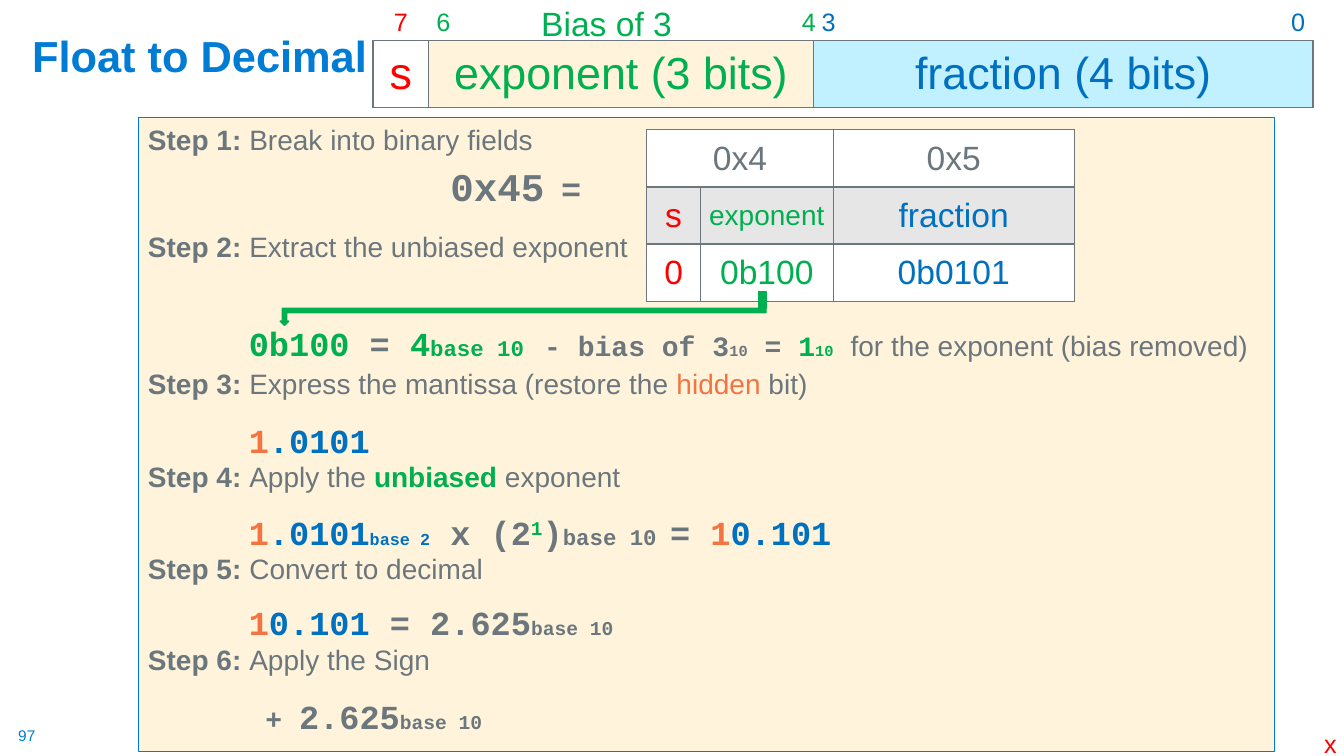
from dataclasses import dataclass

from lxml.etree import SubElement
from pptx import Presentation
from pptx.dml.color import RGBColor
from pptx.enum.shapes import MSO_SHAPE
from pptx.enum.text import MSO_ANCHOR, PP_ALIGN
from pptx.oxml.ns import qn
from pptx.util import Cm, Pt

BLUE = RGBColor(0x00, 0x7C, 0xD5)
DARK_BLUE = RGBColor(0x00, 0x70, 0xC0)
GREY = RGBColor(0x6B, 0x76, 0x7D)
GREEN = RGBColor(0x00, 0xB0, 0x50)
RED = RGBColor(0xFF, 0x00, 0x00)
ORANGE = RGBColor(0xF3, 0x74, 0x40)
CREAM = RGBColor(0xFF, 0xF4, 0xDB)
PALE_BLUE = RGBColor(0xC1, 0xF0, 0xFF)
PALE_GREY = RGBColor(0xE7, 0xE6, 0xE6)
WHITE = RGBColor(0xFF, 0xFF, 0xFF)

PLAIN_TABLE_STYLE = "{2D5ABB26-0587-4C30-8999-92F81FD0307C}"
FORMULA_INDENT = 2.54


@dataclass
class Span:
    text: str
    size: float = 20
    color: RGBColor = GREY
    bold: bool = False
    font: str = "Arial"
    raised: bool = False


def code(text, size=24, color=GREY, raised=False):
    return Span(text, size, color, True, "Courier New", raised)


def step(number, *spans):
    return [Span(f"Step {number}: ", bold=True), *spans]


def style(font, span):
    font.name = span.font
    font.size = Pt(span.size)
    font.bold = span.bold
    font.color.rgb = span.color


def write(paragraph, spans):
    for span in spans:
        run = paragraph.add_run()
        run.text = span.text
        if len(spans) > 1:
            style(run.font, span)
        if span.raised:
            run.font._element.set("baseline", "30000")
    if len(spans) == 1:
        style(paragraph.font, spans[0])


def add_label(page, place, span, anchor=MSO_ANCHOR.TOP, inset=None):
    box = page.shapes.add_textbox(*map(Cm, place))
    frame = box.text_frame
    frame.word_wrap = False
    frame.vertical_anchor = anchor
    if inset is not None:
        frame.margin_left = frame.margin_right = Cm(inset)
        frame.margin_top = frame.margin_bottom = Cm(inset)
    write(frame.paragraphs[0], [span])


def add_block(page, kind, place, fill, line, width):
    block = page.shapes.add_shape(kind, *map(Cm, place))
    block.shadow.inherit = False
    block.fill.solid()
    block.fill.fore_color.rgb = fill
    block.line.color.rgb = line
    block.line.width = Pt(width)
    return block


def add_grid(page, left, top, widths, heights):
    frame = page.shapes.add_table(len(heights), len(widths), Cm(left), Cm(top),
                                  Cm(sum(widths)), Cm(sum(heights)))
    table = frame.table
    table.first_row = table.horz_banding = False
    table._tbl.tblPr.find(qn("a:tableStyleId")).text = PLAIN_TABLE_STYLE
    for column, width in zip(table.columns, widths):
        column.width = Cm(width)
    for row, height in zip(table.rows, heights):
        row.height = Cm(height)
    return table


def outline(cell):
    properties = cell._tc.get_or_add_tcPr()
    for place, side in enumerate(("a:lnL", "a:lnR", "a:lnT", "a:lnB")):
        line = SubElement(properties, qn(side), w=str(Pt(1)))
        fill = SubElement(line, qn("a:solidFill"))
        SubElement(fill, qn("a:srgbClr"), val=str(GREY))
        properties.insert(place, line)


def fill_cell(cell, span, fill=None, align=PP_ALIGN.CENTER, anchor=MSO_ANCHOR.MIDDLE):
    cell.margin_left = cell.margin_right = Cm(0.2)
    cell.margin_top = cell.margin_bottom = Cm(0.1)
    cell.vertical_anchor = anchor
    if fill is None:
        cell.fill.background()
    else:
        cell.fill.solid()
        cell.fill.fore_color.rgb = fill
    paragraph = cell.text_frame.paragraphs[0]
    paragraph.alignment = align
    write(paragraph, [span])


def add_bit_layout(page):
    widths = [1.4, 2.36, 2.36, 3.88, 0.46, 0.46, 1.6, 1.07, 1.04, 2.06, 2.06, 4.75]
    table = add_grid(page, 9.4, -0.25, widths, [1.27, 1.68])
    bits = [(0, "7", RED, PP_ALIGN.CENTER), (1, "6", GREEN, PP_ALIGN.LEFT),
            (5, "4", GREEN, PP_ALIGN.CENTER), (6, "3", DARK_BLUE, PP_ALIGN.LEFT),
            (11, "0", DARK_BLUE, PP_ALIGN.RIGHT)]
    for column, bit, color, align in bits:
        fill_cell(table.cell(0, column), Span(bit, 18, color), None, align, MSO_ANCHOR.BOTTOM)
    for column in range(len(widths)):
        outline(table.cell(1, column))
    fields = [(0, 0, "s", RED, None), (1, 5, "exponent (3 bits)", GREEN, CREAM),
              (6, 11, "fraction (4 bits)", DARK_BLUE, PALE_BLUE)]
    for first, last, name, color, fill in fields:
        if last > first:
            table.cell(1, first).merge(table.cell(1, last))
        fill_cell(table.cell(1, first), Span(name, 32, color), fill)


def add_field_table(page):
    table = add_grid(page, 16.3, 3.27, [1.35, 3.35, 6.07], [1.44] * 3)
    for row in range(3):
        for column in range(3):
            outline(table.cell(row, column))
    table.cell(0, 0).merge(table.cell(0, 1))
    fill_cell(table.cell(0, 0), Span("0x4", 24), WHITE)
    fill_cell(table.cell(0, 2), Span("0x5", 24), WHITE)
    fields = [("s", 24, "0", RED), ("exponent", 20, "0b100", GREEN),
              ("fraction", 24, "0b0101", DARK_BLUE)]
    for column, (name, size, value, color) in enumerate(fields):
        fill_cell(table.cell(1, column), Span(name, size, color), PALE_GREY)
        fill_cell(table.cell(2, column), Span(value, 24, color), WHITE)


def add_steps(page):
    box = add_block(page, MSO_SHAPE.RECTANGLE, (3.48, 2.95, 28.65, 15.98), CREAM, BLUE, 0.75)
    # Each line: space before in points, indent in cm, spans
    lines = [
        (0, 0, step(1, Span("Break into binary fields"))),
        (4.5, 3 * FORMULA_INDENT, [code("0x45", 28), code(" ", 20), code("=")]),
        (14.5, 0, step(2, Span("Extract the unbiased exponent"))),
        (43, FORMULA_INDENT, [
            code("0b100", color=GREEN), code(" = "), code("4", color=GREEN),
            code("base 10", 16, GREEN), code(" "), code("- bias of 3", 20),
            code("10", 11), code(" = ", 20), code("1", 20, GREEN),
            code("10", 11, GREEN), code(" ", 20),
            Span("for the exponent (bias removed)")]),
        (2.5, 0, step(3, Span("Express the mantissa (restore the "),
                      Span("hidden", color=ORANGE), Span(" bit)"))),
        (13.5, FORMULA_INDENT, [code("1", color=ORANGE), code(".0101", color=DARK_BLUE)]),
        (0, 0, step(4, Span("Apply the "), Span("unbiased", color=GREEN, bold=True),
                    Span(" exponent"))),
        (13, FORMULA_INDENT, [
            code("1", color=ORANGE), code(".0101", color=DARK_BLUE),
            code("base 2", 12, DARK_BLUE), code(" "), code("x (2"),
            code("1", color=GREEN, raised=True), code(")"), code("base 10 ", 16),
            code("= "), code("1", color=ORANGE), code("0.101", color=DARK_BLUE)]),
        (0, 0, step(5, Span("Convert to decimal"))),
        (12, FORMULA_INDENT, [code("1", color=ORANGE), code("0.101", color=DARK_BLUE),
                              code(" = 2.625"), code("base 10", 14)]),
        (0, 0, step(6, Span("Apply the Sign"))),
        (14, FORMULA_INDENT + 0.42, [code("+ ", 20), code("2.625"), code("base 10", 14)]),
    ]
    frame = box.text_frame
    frame.word_wrap = True
    frame.vertical_anchor = MSO_ANCHOR.TOP
    for number, (gap, indent, spans) in enumerate(lines):
        paragraph = frame.add_paragraph() if number else frame.paragraphs[0]
        paragraph.alignment = PP_ALIGN.LEFT
        if gap:
            paragraph.space_before = Pt(gap)
        paragraph._p.get_or_add_pPr().set("marL", str(Cm(indent)))
        write(paragraph, spans)


def main():
    deck = Presentation()
    deck.slide_width, deck.slide_height = Cm(33.87), Cm(19.05)
    page = deck.slides.add_slide(deck.slide_layouts[6])

    # Page number and title
    add_label(page, (0.46, 18.31, 0.48, 0.48), Span("97", 11, BLUE), inset=0)
    add_label(page, (0.56, 0.91, 9.17, 1.27), Span("Float to Decimal", 31, BLUE, True),
              MSO_ANCHOR.BOTTOM)

    # Conversion steps
    add_steps(page)

    # Bit layout above, fields of the example below
    add_bit_layout(page)
    add_label(page, (13.39, -0.05, 3.84, 1.27), Span("Bias of 3", 24, GREEN))
    add_field_table(page)

    # Arrow from the exponent field to its formula
    arrow = add_block(page, MSO_SHAPE.BENT_UP_ARROW, (7.06, 7.77, 12.24, 0.43), GREEN, GREEN, 1)
    arrow.rotation = 180
    add_block(page, MSO_SHAPE.RECTANGLE, (19.13, 7.34, 0.18, 0.43), GREEN, GREEN, 1)

    # Corner mark
    add_label(page, (33.12, 18.24, 0.84, 1.02), Span("x", 18, RED))

    deck.save("out.pptx")


if __name__ == "__main__":
    main()
